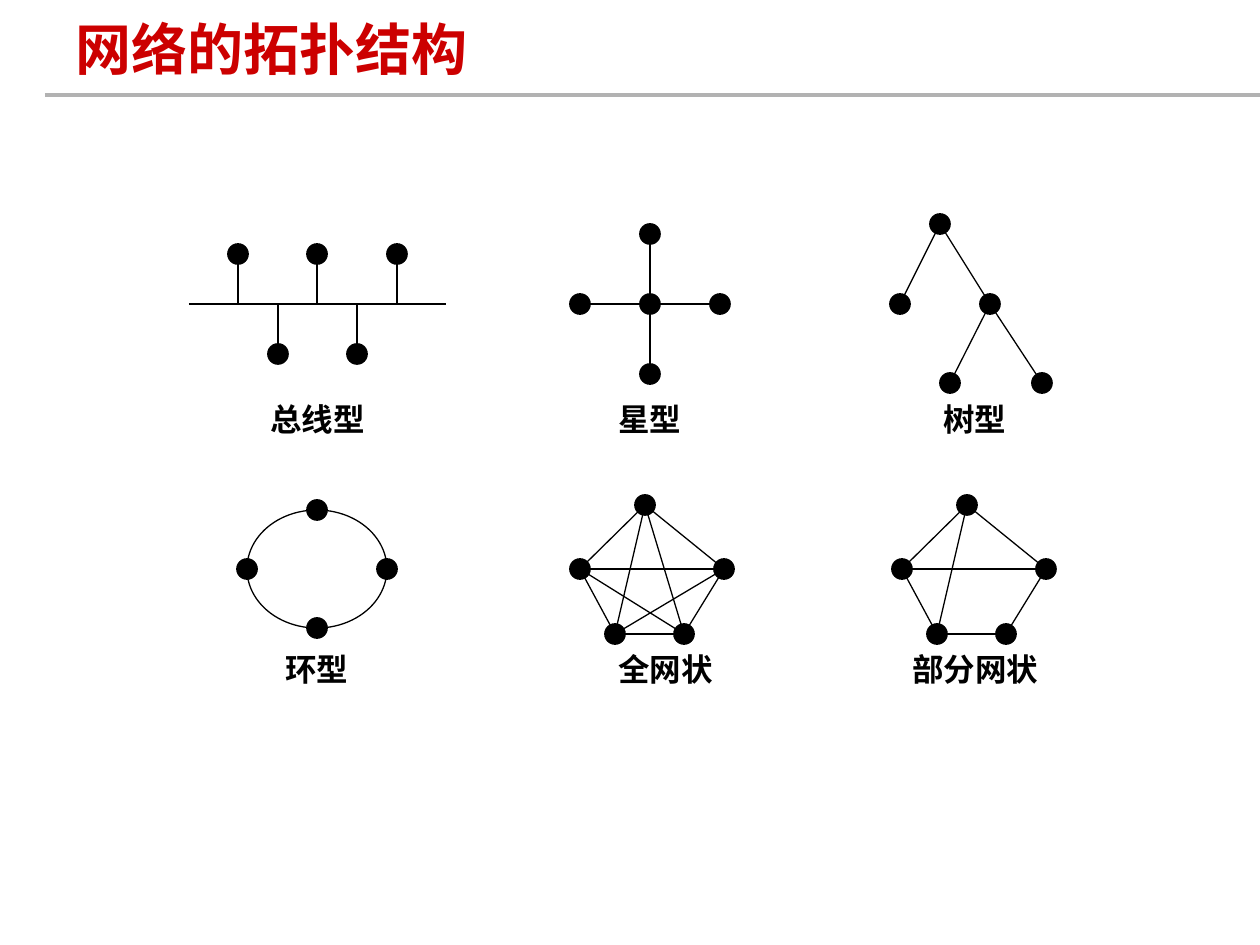
from itertools import combinations

from lxml.etree import SubElement
from pptx import Presentation
from pptx.dml.color import RGBColor
from pptx.enum.shapes import MSO_CONNECTOR as CONN, MSO_SHAPE as SHAPE
from pptx.enum.text import MSO_ANCHOR as ANCHOR, MSO_AUTO_SIZE as AUTO
from pptx.oxml.ns import qn
from pptx.util import Emu, Pt

PX = 914400 // 126
BLACK = RGBColor(0x00, 0x00, 0x00)
RED = RGBColor(0xCC, 0x00, 0x00)
GRAY = RGBColor(0xB2, 0xB2, 0xB2)
FONT = "Arial"
DOT = 20        # node diameter
CHAR = 32       # width of one label character
INSET = 13      # text box side inset
ROW_Y = (394, 644)  # top of the labels in each row

TITLE = "网络的拓扑结构"

# Bus: nodes hang above and below one trunk line
BUS_Y, BUS_X, BUS_DROP = 304, (189, 446), 50
BUS_NODES = [(238, -1), (278, 1), (317, -1), (357, 1), (397, -1)]

# Star: centre first, then the arms
STAR_X, STAR_Y, ARM = 650, 304, 70
STAR = [(STAR_X + dx * ARM, STAR_Y + dy * ARM)
        for dx, dy in ((0, 0), (0, -1), (1, 0), (0, 1), (-1, 0))]

TREE = [(940, 224), (900, 304), (990, 304), (950, 383), (1042, 383)]
TREE_LINKS = [(0, 1), (0, 2), (2, 3), (2, 4)]

# Ring: centre and radii
RING_X, RING_Y, RING_RX, RING_RY = 317, 569, 70, 59

# Mesh: top, right, bottom right, bottom left, left
MESH = [(0, 0), (79, 64), (39, 129), (-30, 129), (-65, 64)]
FULL_TOP, PART_TOP = (645, 505), (967, 505)
FULL_LINKS = list(combinations(range(5), 2))
PART_LINKS = [(0, 1), (1, 2), (2, 3), (3, 4), (4, 0), (0, 3), (1, 4)]

# Label, left edge, row
LABELS = [
    ("总线型", 258, 0), ("星型", 606, 0), ("树型", 931, 0),
    ("环型", 273, 1), ("全网状", 606, 1), ("部分网状", 900, 1),
]


def px(*values):
    return [Emu(round(v * PX)) for v in values]


def add_text(shapes, text, x, y, w, h, size=18, color=BLACK,
             anchor=ANCHOR.TOP, wrap=False):
    tf = shapes.add_textbox(*px(x, y, w, h)).text_frame
    tf.word_wrap = wrap
    tf.auto_size = AUTO.NONE if wrap else AUTO.SHAPE_TO_FIT_TEXT
    tf.vertical_anchor = anchor
    r = tf.paragraphs[0].add_run()
    r.text = text
    r.font.name, r.font.size, r.font.bold = FONT, Pt(size), True
    r.font.color.rgb = color


def add_line(shapes, start, end, width=0.75, color=BLACK):
    line = shapes.add_connector(CONN.STRAIGHT, *px(*start, *end))
    line.line.color.rgb = color
    line.line.width = Pt(width)
    SubElement(line._element.spPr, qn("a:effectLst"))


def add_ellipse(shapes, center, rx, ry, width=1, filled=True):
    cx, cy = center
    sp = shapes.add_shape(SHAPE.OVAL, *px(cx - rx, cy - ry, 2 * rx, 2 * ry))
    sp.shadow.inherit = False
    if filled:
        sp.fill.solid()
        sp.fill.fore_color.rgb = BLACK
    else:
        sp.fill.background()
    sp.line.color.rgb = BLACK
    sp.line.width = Pt(width)


def add_nodes(shapes, nodes):
    for node in nodes:
        add_ellipse(shapes, node, DOT / 2, DOT / 2)


def add_network(slide, nodes, links):
    shapes = slide.shapes.add_group_shape().shapes
    for a, b in links:
        add_line(shapes, nodes[a], nodes[b])
    add_nodes(shapes, nodes)


def add_bus(slide):
    shapes = slide.shapes.add_group_shape().shapes
    add_line(shapes, (BUS_X[0], BUS_Y), (BUS_X[1], BUS_Y), width=1)
    nodes = [(x, BUS_Y + side * BUS_DROP) for x, side in BUS_NODES]
    for x, y in nodes:
        add_line(shapes, (x, y), (x, BUS_Y), width=1)
    add_nodes(shapes, nodes)


def add_ring(slide):
    shapes = slide.shapes.add_group_shape().shapes
    add_ellipse(shapes, (RING_X, RING_Y), RING_RX, RING_RY, 0.75, filled=False)
    add_nodes(shapes, [(RING_X + dx * RING_RX, RING_Y + dy * RING_RY)
                       for dx, dy in ((0, -1), (1, 0), (0, 1), (-1, 0))])


def main():
    prs = Presentation()
    prs.slide_width, prs.slide_height = px(1260, 945)
    slide = prs.slides.add_slide(prs.slide_layouts[6])

    # Title and rule
    add_line(slide.shapes, (45, 95), (1260, 95), width=2.25, color=GRAY)
    add_text(slide.shapes, TITLE, 63, 6, 998, 84, size=32, color=RED,
             anchor=ANCHOR.MIDDLE, wrap=True)

    # Topologies
    add_bus(slide)
    add_network(slide, STAR, [(0, i) for i in range(1, 5)])
    add_network(slide, TREE, TREE_LINKS)
    add_ring(slide)
    for (x, y), links in ((FULL_TOP, FULL_LINKS), (PART_TOP, PART_LINKS)):
        add_network(slide, [(x + dx, y + dy) for dx, dy in MESH], links)

    # Labels
    for text, x, row in LABELS:
        add_text(slide.shapes, text, x, ROW_Y[row],
                 len(text) * CHAR + 2 * INSET, 50)

    prs.save("out.pptx")


if __name__ == "__main__":
    main()
